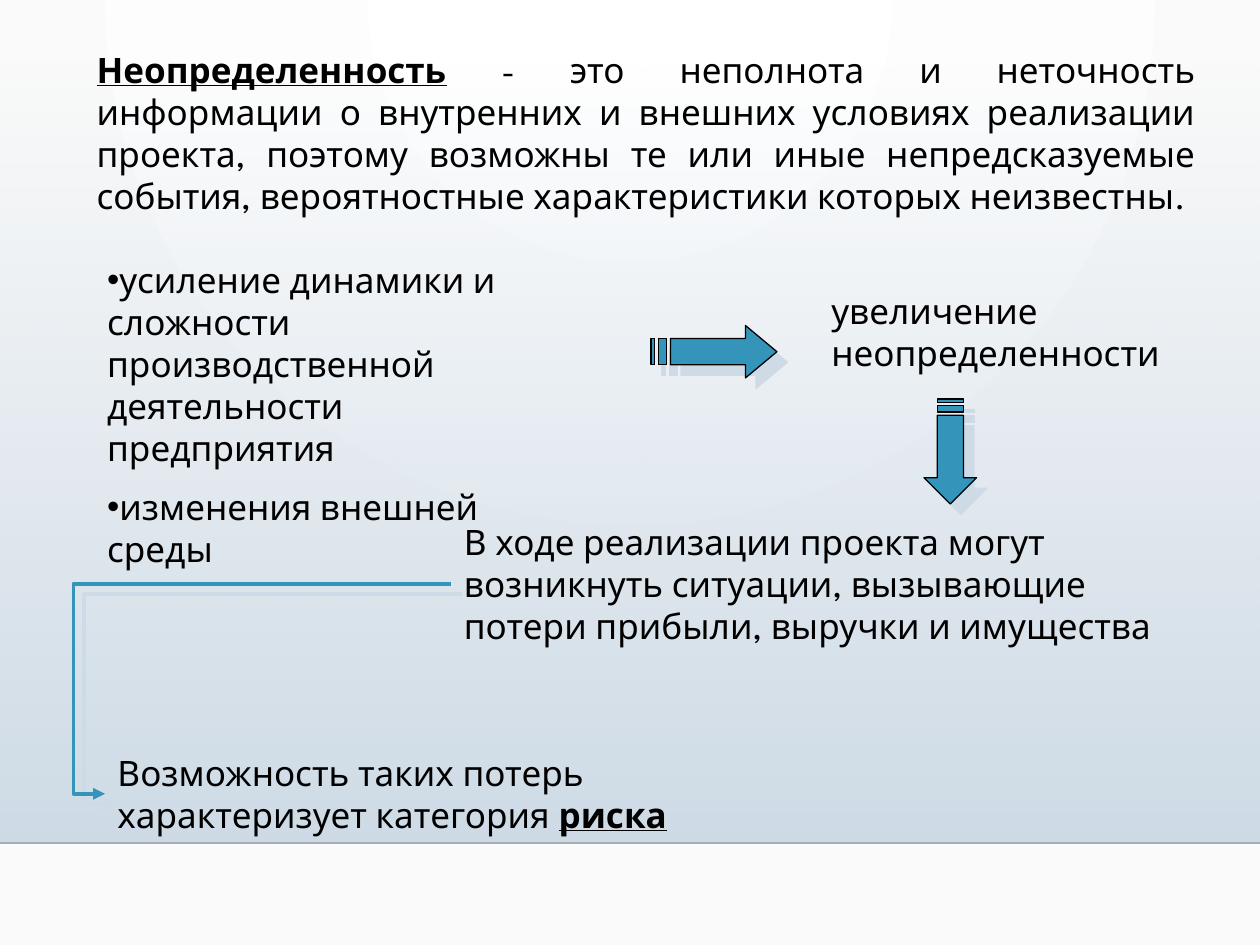
"""Build a slide on how uncertainty leads to the category of risk."""
from dataclasses import dataclass

from pptx import Presentation
from pptx.dml.color import RGBColor
from pptx.enum.shapes import MSO_CONNECTOR, MSO_SHAPE
from pptx.enum.text import MSO_ANCHOR, MSO_AUTO_SIZE, PP_ALIGN
from pptx.oxml import parse_xml
from pptx.oxml.ns import nsdecls, qn
from pptx.util import Emu, Pt

ELBOW, STRAIGHT = MSO_CONNECTOR.ELBOW, MSO_CONNECTOR.STRAIGHT
RECTANGLE = MSO_SHAPE.RECTANGLE
TOP, GROW = MSO_ANCHOR.TOP, MSO_AUTO_SIZE.SHAPE_TO_FIT_TEXT
LEFT, JUSTIFY = PP_ALIGN.LEFT, PP_ALIGN.JUSTIFY
EMU_PER_PX = 7620
FONT = "League Spartan"
COLORS = {
    "text": "000000", "accent": "3494BA", "shadow": "CEDBE6", "rule": "000001",
    "panel_top": "CEDBE6", "panel_bottom": "D0DDE7",
    "back_inner": "FFFFFF", "back_outer": "FAFAFA",
}


@dataclass(frozen=True)
class Box:
    left: int
    top: int
    width: int
    height: int


@dataclass(frozen=True)
class Phrase:
    text: str
    strong: bool = False


@dataclass(frozen=True)
class Statement:
    box: Box
    phrases: tuple[Phrase, ...]


@dataclass(frozen=True)
class StripedArrow:
    box: Box
    head: int
    rotation: int = 0


DEFINITION = Statement(Box(80, 40, 1070, 172), (
    Phrase("Неопределенность", True),
    Phrase(" - это неполнота и неточность информации о внутренних и внешних "
           "условиях реализации проекта, поэтому возможны те или иные "
           "непредсказуемые события, вероятностные характеристики которых "
           "неизвестны."),
))
CAUSES_BOX = Box(90, 240, 460, 192)
CAUSES = (
    "усиление динамики и сложности производственной деятельности предприятия",
    "изменения внешней среды",
)
CONSEQUENCES = (
    Statement(Box(780, 270, 360, 92), (Phrase("увеличение неопределенности"),)),
    Statement(Box(430, 490, 730, 132), (
        Phrase("В ходе реализации проекта могут возникнуть ситуации, "
               "вызывающие потери прибыли, выручки и имущества"),)),
    Statement(Box(100, 710, 680, 92), (
        Phrase("Возможность таких потерь характеризует категория "),
        Phrase("риска", True))),
)
ARROWS = (
    StripedArrow(Box(620, 310, 120, 50), 30),
    StripedArrow(Box(855, 405, 100, 50), 25, 90),
)


def px(length: float) -> Emu:
    return Emu(round(length * EMU_PER_PX))


def color(name: str) -> RGBColor:
    return RGBColor.from_string(COLORS[name])


def place(shape, box: Box) -> None:
    shape.left, shape.top = px(box.left), px(box.top)
    shape.width, shape.height = px(box.width), px(box.height)


def gradient(first: str, last: str, direction: str, first_alpha: int = 100):
    return parse_xml(
        f'<a:gradFill {nsdecls("a")} rotWithShape="1"><a:gsLst>'
        f'<a:gs pos="0"><a:srgbClr val="{COLORS[first]}">'
        f'<a:alpha val="{first_alpha * 1000}"/></a:srgbClr></a:gs>'
        f'<a:gs pos="100000"><a:srgbClr val="{COLORS[last]}"/></a:gs>'
        f'</a:gsLst>{direction}</a:gradFill>')


def replace_solid(parent, fill) -> None:
    parent.replace(parent.find(qn("a:solidFill")), fill)


def effects(shadowed: bool):
    shadow = (f'<a:outerShdw dist="107950" dir="2700000" algn="ctr" rotWithShape="0">'
              f'<a:srgbClr val="{COLORS["shadow"]}"/></a:outerShdw>') if shadowed else ""
    return parse_xml(f'<a:effectLst {nsdecls("a")}>{shadow}</a:effectLst>')


def draw_background(slide) -> None:
    back = slide.background
    back.fill.solid()
    circle = ('<a:path path="circle"><a:fillToRect l="43000" t="0" r="43000" '
              'b="100000"/></a:path>')
    replace_solid(back._cSld.bg.bgPr, gradient("back_inner", "back_outer", circle))
    panel = slide.shapes.add_shape(RECTANGLE, px(0), px(61), px(1200), px(742))
    panel.shadow.inherit = False
    panel.line.fill.background()
    panel.fill.solid()
    downward = '<a:lin ang="5400000" scaled="0"/>'
    replace_solid(panel._element.spPr,
                  gradient("panel_top", "panel_bottom", downward, 0))
    rule = slide.shapes.add_connector(STRAIGHT, px(0), px(803), px(1200), px(803))
    rule.line.color.rgb = color("rule")
    rule.line.width = Pt(1)
    tint = rule._element.spPr.find(f'.//{qn("a:srgbClr")}')
    tint.append(parse_xml(f'<a:alpha {nsdecls("a")} val="20000"/>'))
    rule._element.spPr.append(effects(False))


def prepare_frame(shape, box: Box):
    place(shape, box)
    frame = shape.text_frame
    frame.word_wrap = True
    frame.vertical_anchor = TOP
    frame.auto_size = GROW
    return frame


def add_phrase(paragraph, phrase: Phrase) -> None:
    run = paragraph.add_run()
    run.text = phrase.text
    font = run.font
    font.name, font.size = FONT, Pt(20)
    font.color.rgb = color("text")
    font.bold = font.underline = phrase.strong


def write_statement(shape, statement: Statement, alignment=LEFT) -> None:
    paragraph = prepare_frame(shape, statement.box).paragraphs[0]
    paragraph.alignment = alignment
    for phrase in statement.phrases:
        add_phrase(paragraph, phrase)


def write_causes(shape) -> None:
    frame = prepare_frame(shape, CAUSES_BOX)
    for index, cause in enumerate(CAUSES):
        paragraph = frame.add_paragraph() if index else frame.paragraphs[0]
        properties = paragraph._p.get_or_add_pPr()
        properties.set("marL", "0")
        properties.set("indent", "0")
        properties.append(parse_xml(f'<a:buChar {nsdecls("a")} char="•"/>'))
        paragraph.space_before = Pt(10 if index else 0)
        add_phrase(paragraph, Phrase(cause))


def draw_arrow(slide, arrow: StripedArrow) -> None:
    box, unit = arrow.box, arrow.box.width / 32
    upper, lower = box.height / 4, box.height * 3 / 4
    neck = box.width - arrow.head
    body = ((neck, 0), (neck, upper), (5 * unit, upper), (5 * unit, lower),
            (neck, lower), (neck, box.height), (box.width, box.height / 2))
    stripes = [((start * unit, upper), (start * unit, lower),
                (end * unit, lower), (end * unit, upper))
               for start, end in ((2, 4), (0, 1))]
    outlines = [[(px(box.left + x), px(box.top + y)) for x, y in outline]
                for outline in (body, *stripes)]
    builder = slide.shapes.build_freeform(*outlines[0][0])
    for index, outline in enumerate(outlines):
        if index:
            builder.move_to(*outline[0])
        builder.add_line_segments(outline[1:], close=True)
    shape = builder.convert_to_shape()
    shape.fill.solid()
    shape.fill.fore_color.rgb = color("accent")
    shape.line.color.rgb = color("text")
    shape.line.width = Pt(0.75)
    shape.rotation = arrow.rotation
    shape._element.spPr.append(effects(True))


def draw_risk_link(slide) -> None:
    link = slide.shapes.add_connector(ELBOW, px(430), px(556), px(100), px(756))
    link.line.color.rgb = color("accent")
    link.line.width = Pt(2.25)
    properties = link._element.spPr
    properties.find(f'.//{qn("a:avLst")}').append(
        parse_xml(f'<a:gd {nsdecls("a")} name="adj1" fmla="val 109091"/>'))
    properties.find(qn("a:ln")).append(
        parse_xml(f'<a:tailEnd {nsdecls("a")} type="triangle"/>'))
    properties.append(effects(True))


def main() -> None:
    deck = Presentation()
    deck.slide_width, deck.slide_height = px(1200), px(900)
    slide = deck.slides.add_slide(deck.slide_layouts[1])
    title, body = slide.placeholders
    draw_background(slide)
    for placeholder in (title, body):
        slide.shapes._spTree.append(placeholder._element)
    write_statement(title, DEFINITION, JUSTIFY)
    write_causes(body)
    for statement in CONSEQUENCES:
        write_statement(slide.shapes.add_textbox(0, 0, 0, 0), statement)
    for arrow in ARROWS:
        draw_arrow(slide, arrow)
    draw_risk_link(slide)
    deck.save("out.pptx")


if __name__ == "__main__":
    main()
